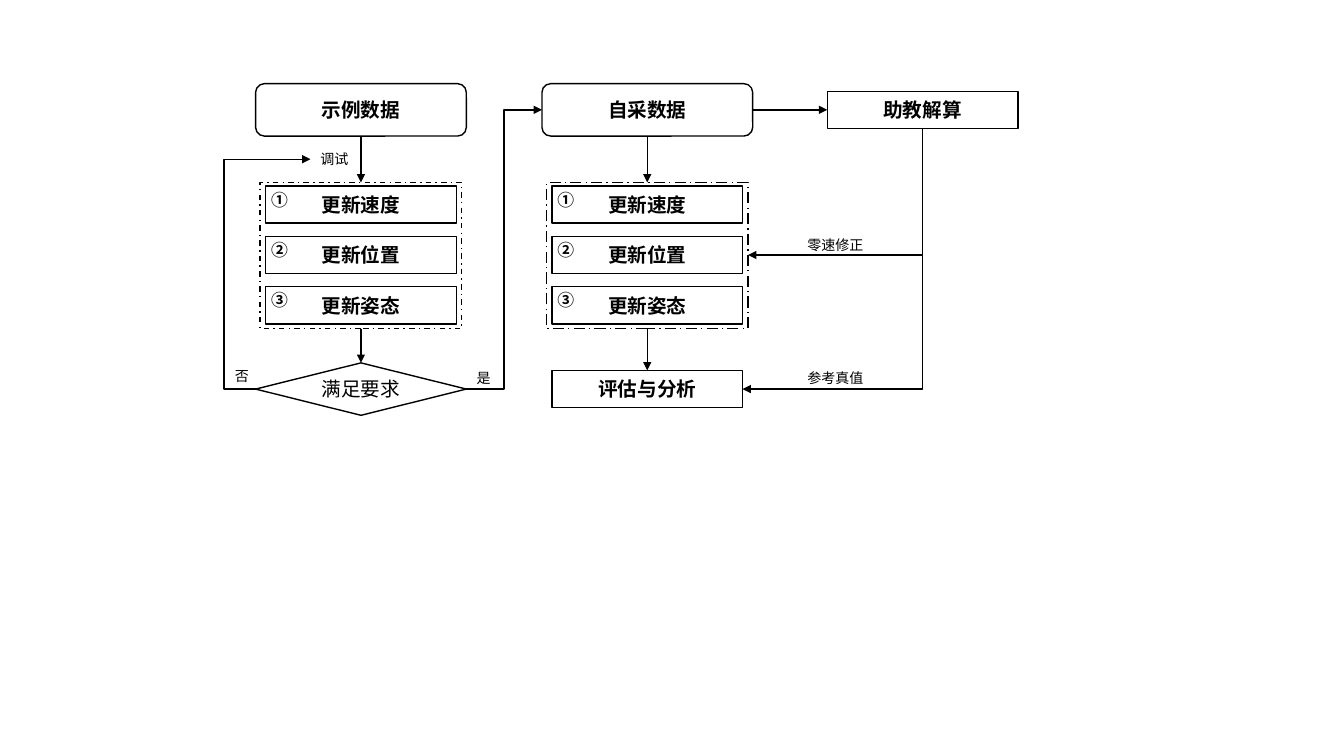
import pptx
import pptx.dml.color
import pptx.enum.dml
import pptx.enum.shapes
import pptx.enum.text
import pptx.oxml
import pptx.oxml.ns
import pptx.util

Inches = pptx.util.Inches
SHAPE = pptx.enum.shapes.MSO_SHAPE
CONNECTOR = pptx.enum.shapes.MSO_CONNECTOR
DASH = pptx.enum.dml.MSO_LINE
ALIGN = pptx.enum.text.PP_ALIGN
ANCHOR = pptx.enum.text.MSO_ANCHOR
qn = pptx.oxml.ns.qn

SANS, SERIF = "Noto Sans CJK SC", "Times New Roman"
INK = "000000"

# Content: the two data columns share one layout
STEPS = [("①", "更新速度"), ("②", "更新位置"), ("③", "更新姿态")]
COLUMNS = [  # heading, centre x, dash of the step panel
    ("示例数据", 3.58, DASH.DASH_DOT),
    ("自采数据", 6.42, DASH.LONG_DASH_DOT),
]
LABELS = [  # text, left, top, width
    ("调试", 3.08, 1.44, 0.56),
    ("否", 2.23, 3.6, 0.38),
    ("是", 4.63, 3.62, 0.38),
    ("参考真值", 7.91, 3.62, 0.94),
    ("零速修正", 7.91, 2.3, 0.94),
]

# Sizes and levels
WIDE, TALL = 2.09, 0.52          # headings and decision
BOX_WIDTH, BOX_HEIGHT = 1.89, 0.37
PANEL_WIDTH, PANEL_HEIGHT = 2, 1.45
STEP_PITCH = 0.5
HEADING_Y, PANEL_TOP, RESULT_Y = 1.09, 1.81, 3.86
PANEL_BOTTOM = PANEL_TOP + PANEL_HEIGHT
PANEL_Y = 2.53                   # where the correction enters the panel
SAMPLE_X, OWN_X, TUTOR_X = COLUMNS[0][1], COLUMNS[1][1], 9.15


def color(hex_text):
    return pptx.dml.color.RGBColor.from_string(hex_text)


def set_line(line, dash=None):
    line.color.rgb = color(INK)
    line.width = pptx.util.Pt(1)
    if dash is not None:
        line.dash_style = dash


def write(shape, text, size=14, bold=False, font=SANS, align=ALIGN.CENTER,
          anchor=ANCHOR.MIDDLE):
    frame = shape.text_frame
    frame.word_wrap = True
    frame.vertical_anchor = anchor
    paragraph = frame.paragraphs[0]
    paragraph.alignment = align
    run = paragraph.add_run()
    run.text = text
    run.font.size = pptx.util.Pt(size)
    run.font.bold = bold
    run.font.name = font
    run.font.color.rgb = color(INK)
    # East Asian typeface follows the Latin one in the run properties
    east_asian = pptx.oxml.parse_xml(
        f'<a:ea {pptx.oxml.ns.nsdecls("a")} typeface="{SANS}"/>')
    run.font._element.find(qn("a:latin")).addnext(east_asian)


def add_box(shapes, kind, center_x, center_y, width, height, text="",
            dash=None, **text_format):
    shape = shapes.add_shape(
        kind, Inches(center_x - width / 2), Inches(center_y - height / 2),
        Inches(width), Inches(height))
    shape.shadow.inherit = False
    shape.fill.background()
    set_line(shape.line, dash)
    if text:
        write(shape, text, **text_format)


def add_label(shapes, text, left, top, width, height=0.27, **text_format):
    box = shapes.add_textbox(Inches(left), Inches(top), Inches(width),
                             Inches(height))
    write(box, text, align=ALIGN.LEFT, anchor=ANCHOR.TOP, **text_format)


def add_arrow(shapes, start, end, bend_x=None):
    """Straight arrow, or an elbow whose upright part runs at bend_x."""
    kind = CONNECTOR.STRAIGHT if bend_x is None else CONNECTOR.ELBOW
    arrow = shapes.add_connector(kind, *map(Inches, start + end))
    set_line(arrow.line)
    properties = arrow._element.spPr
    namespace = pptx.oxml.ns.nsdecls("a")
    properties.find(qn("a:ln")).append(
        pptx.oxml.parse_xml(f'<a:tailEnd {namespace} type="triangle"/>'))
    properties.append(pptx.oxml.parse_xml(f"<a:effectLst {namespace}/>"))
    if bend_x is not None:
        share = round((bend_x - start[0]) / (end[0] - start[0]) * 100000)
        properties.find(qn("a:prstGeom")).find(qn("a:avLst")).append(
            pptx.oxml.parse_xml(
                f'<a:gd {namespace} name="adj1" fmla="val {share}"/>'))


def add_step_panel(shapes, center_x, dash):
    panel = shapes.add_group_shape().shapes
    for index, (number, step) in enumerate(STEPS):
        center_y = 2.03 + index * STEP_PITCH
        add_box(panel, SHAPE.RECTANGLE, center_x, center_y, BOX_WIDTH,
                BOX_HEIGHT, step, bold=True)
        add_label(panel, number, center_x - 0.99, center_y - 0.2, 0.35, 0.3,
                  size=12, bold=True)
    add_box(panel, SHAPE.RECTANGLE, center_x, PANEL_TOP + PANEL_HEIGHT / 2,
            PANEL_WIDTH, PANEL_HEIGHT, dash=dash)


def main():
    presentation = pptx.Presentation()
    presentation.slide_width = Inches(13.33)
    presentation.slide_height = Inches(7.5)
    shapes = presentation.slides.add_slide(
        presentation.slide_layouts[6]).shapes

    # Data columns: heading, arrow, step panel
    for heading, center_x, dash in COLUMNS:
        add_box(shapes, SHAPE.ROUNDED_RECTANGLE, center_x, HEADING_Y, WIDE,
                TALL, heading, bold=True, font=SERIF)
        add_step_panel(shapes, center_x, dash)
        add_arrow(shapes, (center_x, HEADING_Y + TALL / 2),
                  (center_x, PANEL_TOP))

    # Decision, tutor solution and evaluation
    add_box(shapes, SHAPE.FLOWCHART_DECISION, SAMPLE_X, RESULT_Y, WIDE, TALL,
            "满足要求")
    add_box(shapes, SHAPE.RECTANGLE, TUTOR_X, HEADING_Y, BOX_WIDTH,
            BOX_HEIGHT, "助教解算", bold=True)
    add_box(shapes, SHAPE.RECTANGLE, OWN_X, RESULT_Y, BOX_WIDTH, BOX_HEIGHT,
            "评估与分析", bold=True)

    # Arrows between the parts
    half_wide, half_box = WIDE / 2, BOX_WIDTH / 2
    tutor_bottom = (TUTOR_X, HEADING_Y + BOX_HEIGHT / 2)
    add_arrow(shapes, (SAMPLE_X, PANEL_BOTTOM),
              (SAMPLE_X, RESULT_Y - TALL / 2))
    add_arrow(shapes, (OWN_X, PANEL_BOTTOM),
              (OWN_X, RESULT_Y - BOX_HEIGHT / 2))
    add_arrow(shapes, (OWN_X + half_wide, HEADING_Y),
              (TUTOR_X - half_box, HEADING_Y))
    add_arrow(shapes, (SAMPLE_X - half_wide, RESULT_Y), (3.08, 1.58),
              bend_x=2.22)
    add_arrow(shapes, (SAMPLE_X + half_wide, RESULT_Y),
              (OWN_X - half_wide, HEADING_Y), bend_x=5)
    add_arrow(shapes, tutor_bottom, (OWN_X + half_box, RESULT_Y),
              bend_x=TUTOR_X)
    add_arrow(shapes, tutor_bottom, (OWN_X + PANEL_WIDTH / 2, PANEL_Y),
              bend_x=TUTOR_X)

    for label in LABELS:
        add_label(shapes, *label, size=10)

    presentation.save("out.pptx")


if __name__ == "__main__":
    main()
